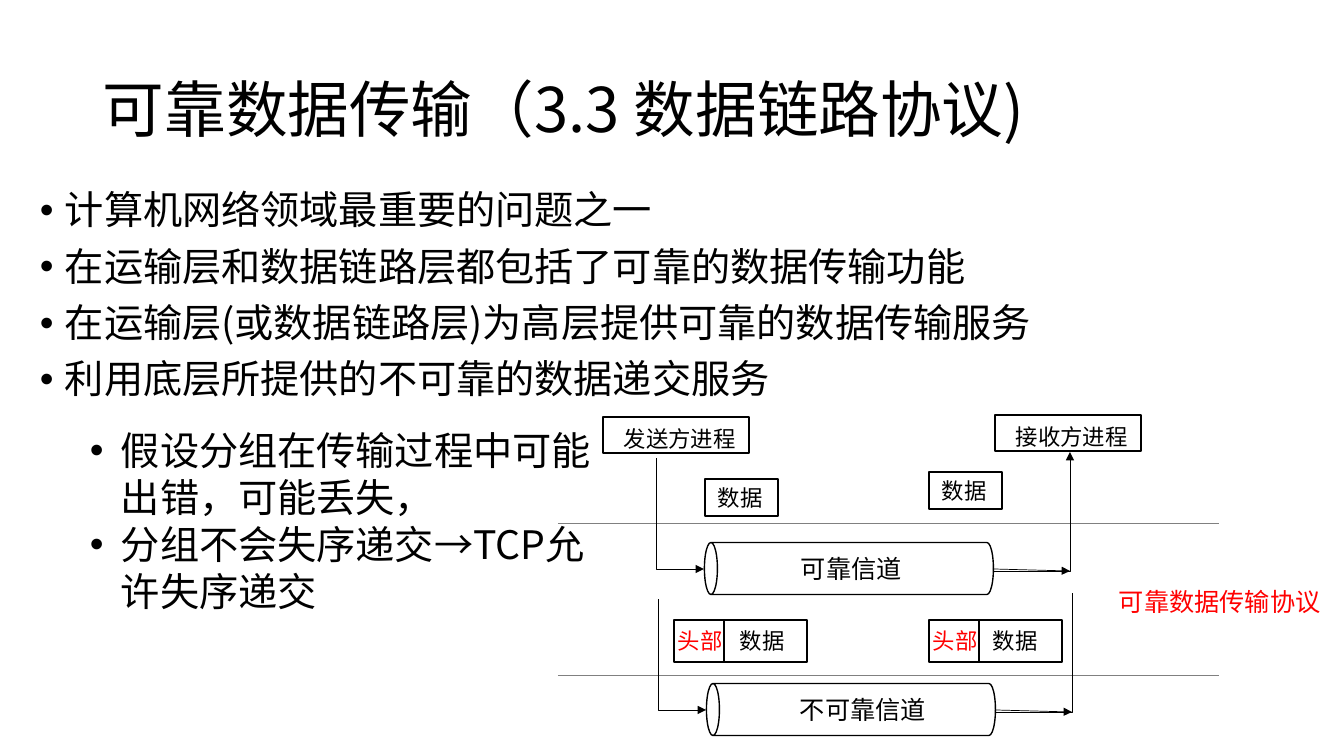
"""Build the slide on reliable data transfer over layered channels."""
from pptx import Presentation
from pptx.dml.color import RGBColor as RGB
from pptx.enum.shapes import MSO_CONNECTOR as CONN, MSO_SHAPE as SHAPE
from pptx.enum.text import MSO_ANCHOR as ANCHOR
from pptx.oxml.ns import qn
from pptx.util import Emu, Pt
from lxml.etree import SubElement

COLORS = {"text": "000000", "accent": "FF0000", "divider": "808080", "bg": "FFFFFF"}


class Deck:
    font = "Noto Sans CJK SC"
    scale = 914400 / 100.8

    def __init__(self, prs):
        self.slide = prs.slides.add_slide(prs.slide_layouts[6])
        self.shapes = self.slide.shapes
        fill = self.slide.background.fill
        fill.solid()
        fill.fore_color.rgb = self.color("bg")

    def px(self, *values):
        return [Emu(round(v * self.scale)) for v in values]

    def color(self, name):
        return RGB.from_string(COLORS[name])

    def text(self, box, lines, size, color="text", bullet=None, anchor=ANCHOR.TOP, **fmt):
        tf = self.shapes.add_textbox(*self.px(*box)).text_frame
        tf.word_wrap = True
        tf.vertical_anchor = anchor
        for i, line in enumerate(lines):
            p = tf.paragraphs[0] if i == 0 else tf.add_paragraph()
            for name, value in fmt.items():
                setattr(p, name, value)
            if bullet:
                margin, indent = self.px(*bullet)
                pPr = p._p.get_or_add_pPr()
                pPr.set("marL", str(margin))
                pPr.set("indent", str(indent))
                SubElement(pPr, qn("a:buFont")).set("typeface", "Arial")
                SubElement(pPr, qn("a:buChar")).set("char", "•")
            r = p.add_run()
            r.text = line
            for name, value in {"size": Pt(size), "name": self.font}.items():
                setattr(r.font, name, value)
            r.font.color.rgb = self.color(color)
            SubElement(r._r.get_or_add_rPr(), qn("a:ea")).set("typeface", self.font)

    def outline(self, kind, box, rotation=0):
        sp = self.shapes.add_shape(kind, *self.px(*box))
        sp.rotation = rotation
        sp.shadow.inherit = False
        sp.fill.background()
        sp.line.color.rgb = self.color("text")
        sp.line.width = Pt(1)

    def labeled_box(self, box, label, text_pos, color="text"):
        self.outline(SHAPE.RECTANGLE, box)
        width = 27 + 30 * len(label)
        self.text((*text_pos, width, 37), [label], 16, color)

    def line(self, start, end, color="text", arrow=None, bent=False):
        c = self.shapes.add_connector(CONN.STRAIGHT, *self.px(*start, *end))
        c.line.color.rgb = self.color(color)
        c.line.width = Pt(0.5)
        spPr = c._element.spPr
        if bent:
            spPr.find(qn("a:prstGeom")).set("prst", "bentConnector2")
        if arrow:
            SubElement(c.line._get_or_add_ln(), qn("a:" + arrow)).set("type", "triangle")
        SubElement(spPr, qn("a:effectLst"))


prs = Presentation()
deck = Deck(prs)
prs.slide_width, prs.slide_height = deck.px(1344, 756)

deck.text((93, 40, 1159, 146), ["可靠数据传输（3.3 数据链路协议) "], 44,
          anchor=ANCHOR.MIDDLE, line_spacing=0.9)
deck.text((30, 186, 1159, 480), [
    "计算机网络领域最重要的问题之一",
    "在运输层和数据链路层都包括了可靠的数据传输功能",
    "在运输层(或数据链路层)为高层提供可靠的数据传输服务",
    "利用底层所提供的不可靠的数据递交服务",
], 28, bullet=(25, -25), line_spacing=0.9, space_before=Pt(10))
deck.text((29, 421, 572, 201), [
    "假设分组在传输过程中可能出错，可能丢失，",
    "分组不会失序递交→TCP允许失序递交",
], 28, bullet=(82, -31), level=1)

for y in (523, 675):
    deck.line((558, y), (1219, y), "divider")

for x, y, label in ((603, 417, "发送方进程"), (995, 415, "接收方进程")):
    deck.labeled_box((x, y, 146, 36), label, (x + 11, y + 3))
for x, y in ((705, 479), (929, 472)):
    deck.labeled_box((x, y, 73, 37), "数据", (x + 3, y))
for x, data_x in ((674, 730), (929, 983)):
    deck.labeled_box((x + 50, 620, 83, 42), "数据", (data_x, 622))
    deck.labeled_box((x, 620, 50, 42), "头部", (x - 6, 622), "accent")

channels = (
    (0, 0, "可靠信道", 791, "tailEnd"),
    (2, 141, "不可靠信道", 790, None),
)
for dx, dy, label, label_x, up_arrow in channels:
    deck.outline(SHAPE.CAN, (823 + dx, 424 + dy, 52, 289), 270)
    deck.text((label_x, 548 + dy, 175, 40), [label], 18)
    deck.line((704 + dx, 569 + dy), (656 + dx, 458 + dy), arrow="headEnd", bent=True)
    deck.line((993 + dx, 571 + dy), (1070 + dx, 452 + dy), arrow=up_arrow, bent=True)
    deck.line((993 + dx, 569 + dy), (1070 + dx, 571 + dy), arrow="tailEnd")

deck.text((1109, 581, 236, 40), ["可靠数据传输协议"], 18, "accent")

prs.save("out.pptx")
